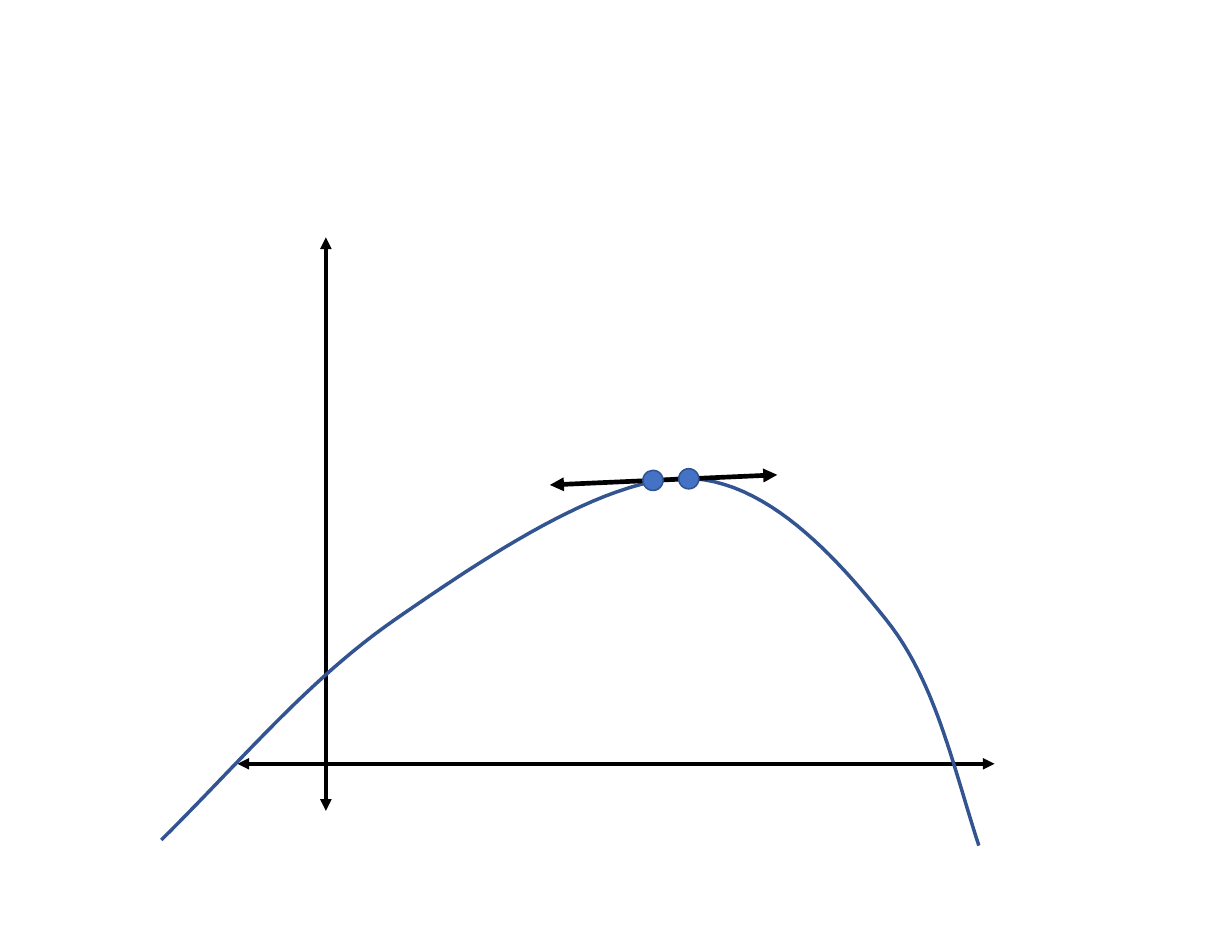
import pptx
import pptx.dml.color
import pptx.enum.shapes
import pptx.oxml.ns
import pptx.util
import lxml.etree

COLORS = {"axis": "000000", "curve": "325491", "point": "4472C4"}
COLUMNS, ROWS = 11, 8.5
CELL = pptx.util.Inches(1)
PLOT_BOX = (1.44, 2.12)

AXES = [((1.47, 0), (1.47, 5.12)), ((0.68, 4.7), (7.44, 4.7))]
CURVE = [
    (0, 5.38), (0.71, 4.68), (1.31, 3.95),
    (2.09, 3.41), (2.87, 2.87), (3.94, 2.15),
    (4.67, 2.15), (5.4, 2.15), (6.03, 2.86),
    (6.47, 3.41), (6.91, 3.96), (7.06, 4.69), (7.3, 5.43),
]
CURVE_STEPS = 24
SECANT = ((3.47, 2.21), (5.5, 2.12))
POINT_COLUMNS = (4.39, 4.71)
POINT_SIZE = 0.18


def color(name):
    return pptx.dml.color.RGBColor.from_string(COLORS[name])


def locate(box, point):
    return tuple(round((start + offset) * CELL) for start, offset in zip(box, point))


def style_line(shape, name, width):
    shape.line.color.rgb = color(name)
    shape.line.width = pptx.util.Pt(width)


def add_double_arrow(slide, box, ends, width):
    start, end = (locate(box, point) for point in ends)
    connector = slide.shapes.add_connector(
        pptx.enum.shapes.MSO_CONNECTOR.STRAIGHT, *start, *end)
    style_line(connector, "axis", width)
    line = connector.line._get_or_add_ln()
    for tag in ("a:headEnd", "a:tailEnd"):
        lxml.etree.SubElement(line, pptx.oxml.ns.qn(tag), type="triangle")
    lxml.etree.SubElement(connector._element.spPr, pptx.oxml.ns.qn("a:effectLst"))


def bezier_point(controls, t):
    weights = ((1 - t) ** 3, 3 * t * (1 - t) ** 2, 3 * t ** 2 * (1 - t), t ** 3)
    return tuple(sum(weight * value for weight, value in zip(weights, axis))
                 for axis in zip(*controls))


def add_curve(slide, box, controls):
    points = [
        locate(box, bezier_point(controls[first:first + 4], step / CURVE_STEPS))
        for first in range(0, len(controls) - 1, 3)
        for step in range(1, CURVE_STEPS + 1)
    ]
    builder = slide.shapes.build_freeform(*locate(box, controls[0]))
    builder.add_line_segments(points, close=False)
    curve = builder.convert_to_shape()
    curve.shadow.inherit = False
    curve.fill.background()
    style_line(curve, "curve", 2.25)


def add_point(slide, box, center):
    corner = [value - POINT_SIZE / 2 for value in center]
    size = round(POINT_SIZE * CELL)
    point = slide.shapes.add_shape(
        pptx.enum.shapes.MSO_SHAPE.OVAL, *locate(box, corner), size, size)
    point.shadow.inherit = False
    point.fill.solid()
    point.fill.fore_color.rgb = color("point")
    style_line(point, "curve", 1)


def add_secant(slide, box):
    add_double_arrow(slide, box, SECANT, 3)
    (left, left_height), (right, right_height) = SECANT
    slope = (right_height - left_height) / (right - left)
    for column in POINT_COLUMNS:
        add_point(slide, box, (column, left_height + slope * (column - left)))


def add_plot(slide, box):
    for axis in AXES:
        add_double_arrow(slide, box, axis, 2.5)
    add_curve(slide, box, CURVE)
    add_secant(slide, box)


def main():
    presentation = pptx.Presentation()
    presentation.slide_width = round(COLUMNS * CELL)
    presentation.slide_height = round(ROWS * CELL)
    slide = presentation.slides.add_slide(presentation.slide_layouts[6])
    add_plot(slide, PLOT_BOX)
    presentation.save("out.pptx")


if __name__ == "__main__":
    main()
